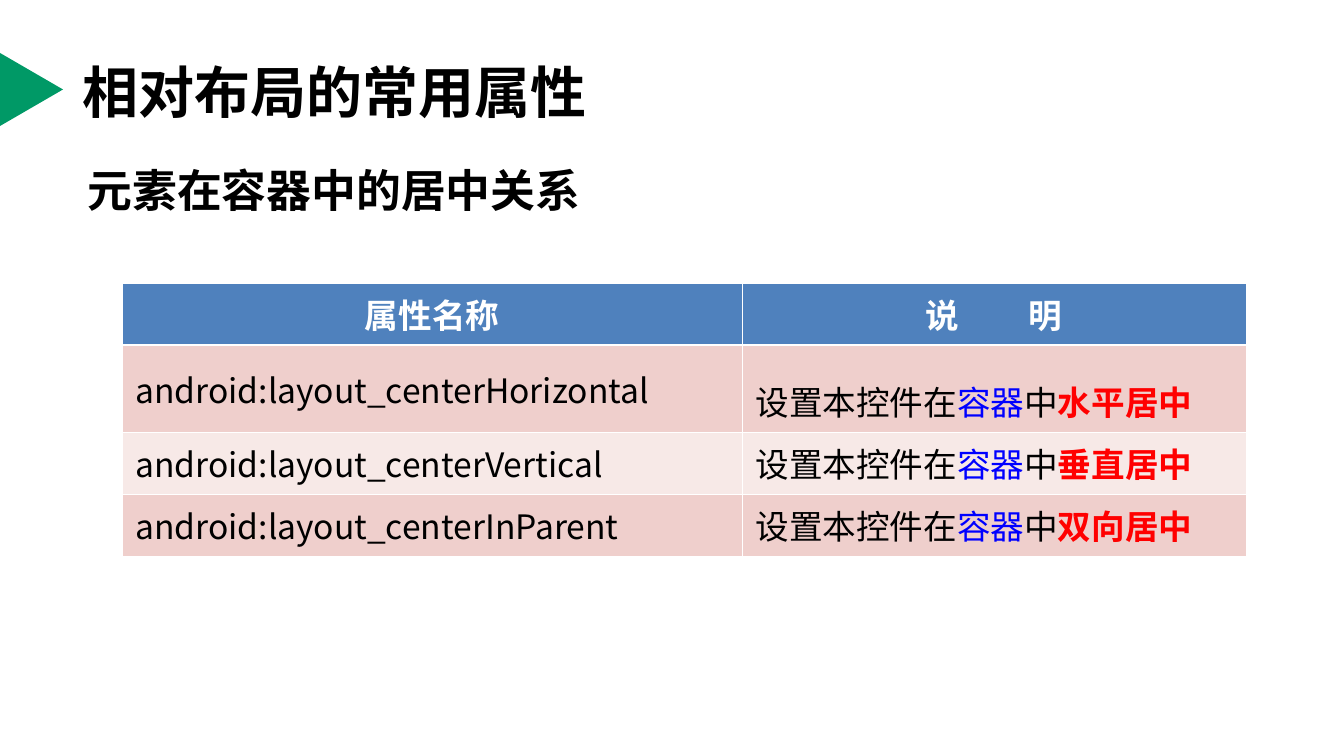
from lxml.etree import SubElement
from pptx import Presentation
from pptx.dml.color import RGBColor
from pptx.enum.shapes import MSO_SHAPE
from pptx.enum.text import MSO_ANCHOR, MSO_AUTO_SIZE, PP_ALIGN
from pptx.oxml.ns import qn
from pptx.util import Emu, Pt

SCALE = 914400 / 134.4
CJK_FONT = "Noto Sans CJK SC"
ROW_HEIGHTS = (62, 87, 62, 62)
COLUMN_WIDTHS = (620, 504)
PROPERTIES = (
    ("android:layout_centerHorizontal", "水平居中", "EFCFCC", 1.5),
    ("android:layout_centerVertical", "垂直居中", "F7E9E7", 1),
    ("android:layout_centerInParent", "双向居中", "EFCFCC", 1),
)


def px(length):
    """Convert pixels to EMU."""
    return Emu(round(length * SCALE))


def color(value):
    """Convert a hex string to a colour."""
    return RGBColor.from_string(value)


def add_run(paragraph, text, size=18, value="000000", bold=False, name=CJK_FONT):
    """Append one formatted run and return it."""
    run = paragraph.add_run()
    run.text = text
    run.font.size = Pt(size)
    run.font.bold = bold
    run.font.name = name
    run.font.color.rgb = color(value)
    properties = run.font._element
    SubElement(properties, qn("a:ea")).set("typeface", CJK_FONT)
    return run


def fill_placeholder(shape, box, text, size, anchor, space_before):
    """Move a placeholder and give it one bold line without a bullet."""
    shape.left, shape.top, shape.width, shape.height = map(px, box)
    frame = shape.text_frame
    frame.auto_size = MSO_AUTO_SIZE.NONE
    frame.word_wrap = True
    frame.vertical_anchor = anchor
    paragraph = frame.paragraphs[0]
    paragraph.alignment = PP_ALIGN.LEFT
    paragraph.space_before = Pt(space_before)
    properties = paragraph._p.get_or_add_pPr()
    properties.set("marL", "0")
    properties.set("indent", "0")
    SubElement(properties, qn("a:buNone"))
    add_run(paragraph, text, size, bold=True)


def add_marker(slide):
    """Add the green triangle that points at the title."""
    shape = slide.shapes.add_shape(
        MSO_SHAPE.ISOSCELES_TRIANGLE, px(-5), px(58), px(73), px(63))
    shape.rotation = 90
    shape.shadow.inherit = False
    shape.fill.solid()
    shape.fill.fore_color.rgb = color("009966")
    shape.line.fill.background()


def style_cell(cell, fill, top=0.45, bottom=0.45):
    """Give a cell its white borders, fill and vertical anchor."""
    properties = cell._tc.get_or_add_tcPr()
    borders = (("lnL", 0.45), ("lnR", 0.45), ("lnT", top), ("lnB", bottom))
    for tag, width in borders:
        line = SubElement(properties, qn(f"a:{tag}"), w=str(Pt(width)))
        solid = SubElement(line, qn("a:solidFill"))
        SubElement(solid, qn("a:srgbClr"), val="FFFFFF")
    cell.fill.solid()
    cell.fill.fore_color.rgb = color(fill)
    cell.vertical_anchor = MSO_ANCHOR.MIDDLE


def fill_header(table):
    """Write the header row."""
    for column, parts in enumerate((("属性名称",), ("说", "明"))):
        cell = table.cell(0, column)
        style_cell(cell, "4F81BD", bottom=1.47)
        cell.vertical_anchor = MSO_ANCHOR.TOP
        paragraph = cell.text_frame.paragraphs[0]
        paragraph.alignment = PP_ALIGN.CENTER
        paragraph.space_before = Pt(4.5)
        runs = [add_run(paragraph, part, value="FFFFFF", bold=True, name="Arial")
                for part in parts]
        for run in runs[:-1]:
            run.font._element.set("spc", "3700")


def fill_property(table, row, name, centering, fill, line_spacing):
    """Write one property name and its description."""
    name_cell, description_cell = table.cell(row, 0), table.cell(row, 1)
    for cell in (name_cell, description_cell):
        style_cell(cell, fill, top=1.47 if row == 1 else 0.45)
    paragraph = name_cell.text_frame.paragraphs[0]
    paragraph.space_before = Pt(4.5)
    add_run(paragraph, name)
    paragraph = description_cell.text_frame.paragraphs[0]
    paragraph.alignment = PP_ALIGN.JUSTIFY
    paragraph.line_spacing = float(line_spacing)
    add_run(paragraph, "设置本控件在")
    add_run(paragraph, "容器", value="0000FF")
    add_run(paragraph, "中")
    add_run(paragraph, centering, value="FF0000", bold=True)


def add_property_table(slide):
    """Add the table of centering properties."""
    table = slide.shapes.add_table(
        len(ROW_HEIGHTS), len(COLUMN_WIDTHS), px(122), px(283),
        px(sum(COLUMN_WIDTHS)), px(sum(ROW_HEIGHTS))).table
    for row, height in zip(table.rows, ROW_HEIGHTS):
        row.height = px(height)
    for column, width in zip(table.columns, COLUMN_WIDTHS):
        column.width = px(width)
    fill_header(table)
    for row, values in enumerate(PROPERTIES, start=1):
        fill_property(table, row, *values)


def main():
    """Build and save the slide."""
    presentation = Presentation()
    presentation.slide_width, presentation.slide_height = px(1344), px(756)
    slide = presentation.slides.add_slide(presentation.slide_layouts[1])
    add_marker(slide)
    title, subtitle = slide.placeholders
    fill_placeholder(title, (69, 28, 1210, 126), "相对布局的常用属性",
                     30, MSO_ANCHOR.MIDDLE, 0)
    fill_placeholder(subtitle, (74, 156, 556, 95), "元素在容器中的居中关系",
                     24, MSO_ANCHOR.TOP, 6.5)
    add_property_table(slide)
    presentation.save("out.pptx")


if __name__ == "__main__":
    main()
